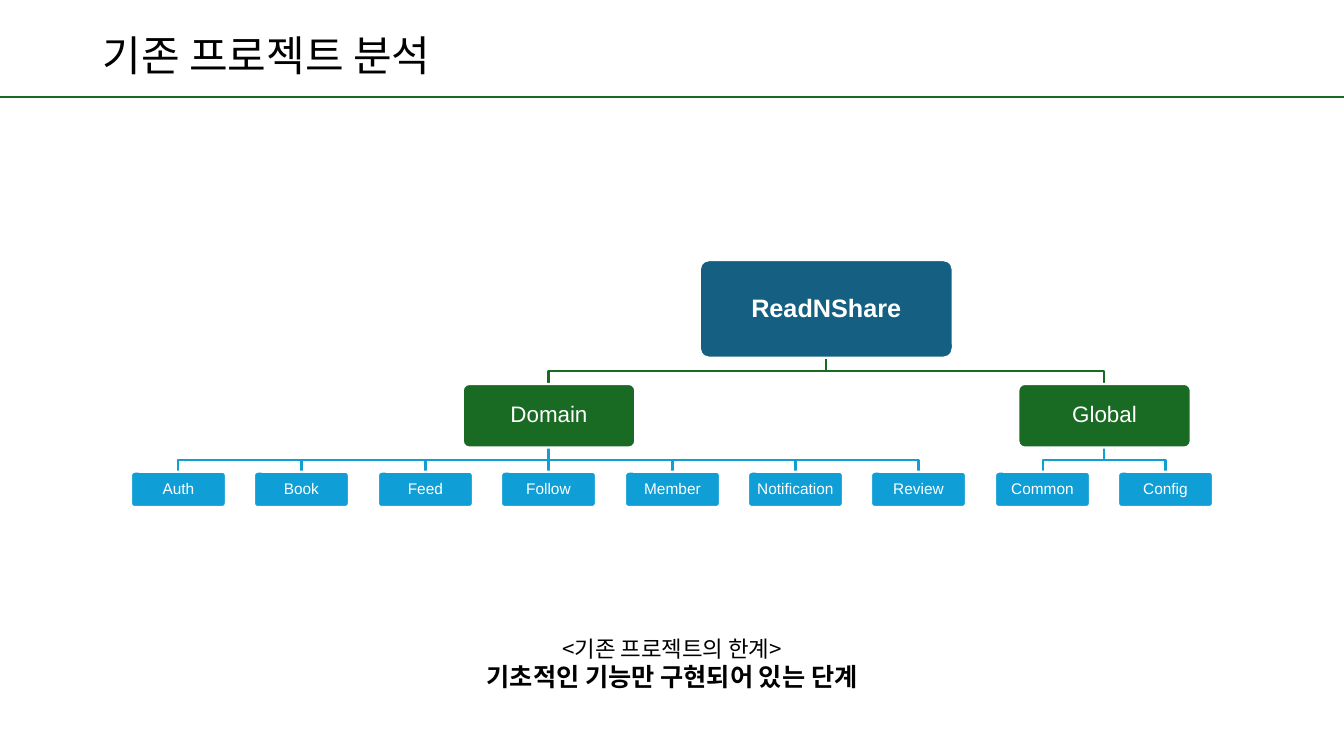
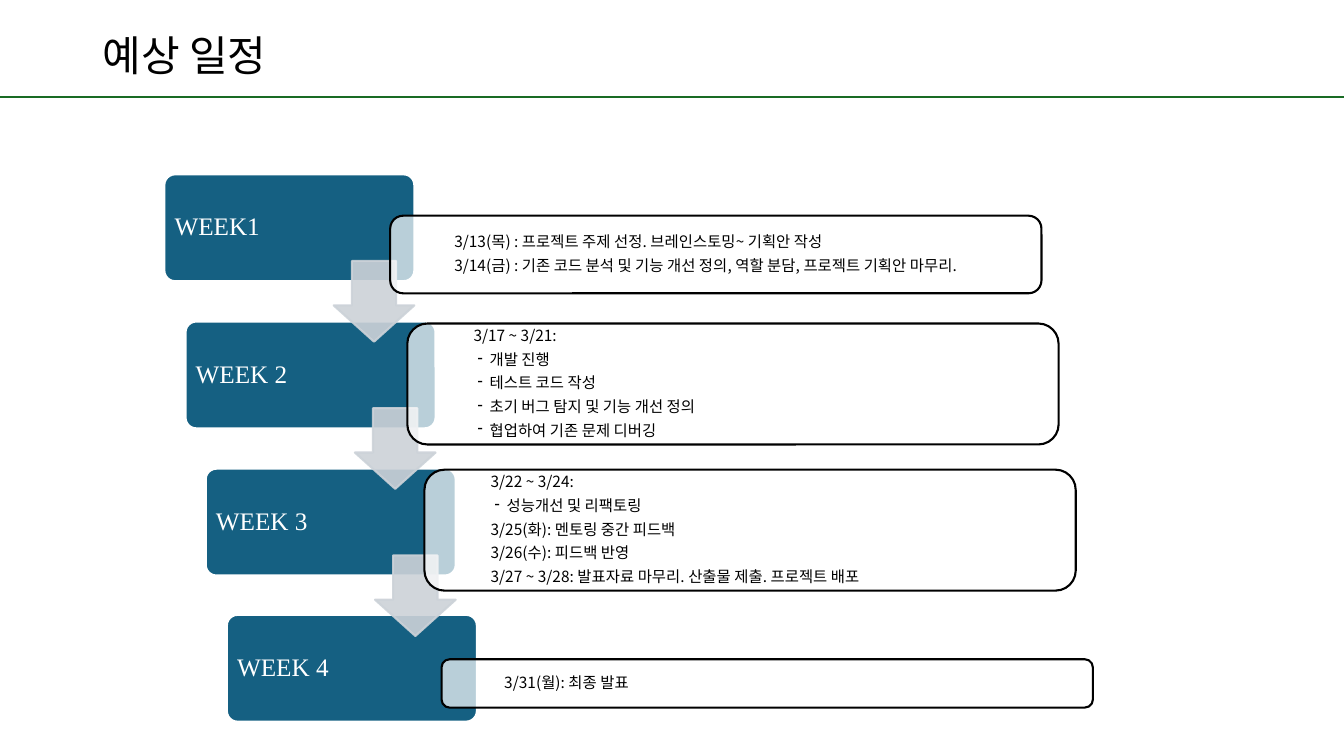
from lxml.etree import SubElement
from pptx import Presentation
from pptx.dml.color import RGBColor
from pptx.enum.shapes import MSO_CONNECTOR as Connector, MSO_SHAPE as Shape
from pptx.enum.text import MSO_ANCHOR as Anchor, PP_ALIGN as Align
from pptx.oxml.ns import qn
from pptx.util import Pt

PX = 9144  # EMU per px, 100 px to the inch
PAGE_WIDTH, PAGE_HEIGHT = 1333, 750

BLACK = RGBColor(0x00, 0x00, 0x00)
WHITE = RGBColor(0xFF, 0xFF, 0xFF)
NAVY = RGBColor(0x15, 0x60, 0x82)
GREEN = RGBColor(0x19, 0x6B, 0x24)
BLUE = RGBColor(0x0F, 0x9E, 0xD5)
GRAY = RGBColor(0xCC, 0xD2, 0xD8)

KOREAN = "Noto Sans CJK KR"
SANS = "Arial"
SERIF = "Times New Roman"
LINE_WIDTH = Pt(1.5)
BULLET = "- "

LEAF_TOP, LEAF_WIDTH, LEAF_HEIGHT = 468, 94, 35
LEAF_LEFT, LEAF_STEP = 130, 122.4
BRANCH_TOP, BRANCH_WIDTH, BRANCH_HEIGHT = 381, 171, 63
ROOT_TOP, ROOT_WIDTH, ROOT_HEIGHT = 258, 251, 97
BRANCHES = {
    "Domain": ["Auth", "Book", "Feed", "Follow", "Member", "Notification", "Review"],
    "Global": ["Common", "Config"],
}

# Week, top and height of its plan, lines of the plan
SCHEDULE = [
    ("WEEK1", 214, 77, [
        "3/13(목) : 프로젝트 주제 선정. 브레인스토밍~ 기획안 작성",
        "3/14(금) : 기존 코드 분석 및 기능 개선 정의, 역할 분담, 프로젝트 기획안 마무리.",
    ]),
    ("WEEK 2", 321, 120, [
        "3/17 ~ 3/21:",
        "- 개발 진행",
        "- 테스트 코드 작성",
        "- 초기 버그 탐지 및 기능 개선 정의",
        "- 협업하여 기존 문제 디버깅",
    ]),
    ("WEEK 3", 466, 120, [
        "3/22 ~ 3/24:",
        "- 성능개선 및 리팩토링",
        "3/25(화): 멘토링 중간 피드백",
        "3/26(수): 피드백 반영",
        "3/27 ~ 3/28: 발표자료 마무리. 산출물 제출. 프로젝트 배포",
    ]),
    ("WEEK 4", 654, 48, ["3/31(월): 최종 발표"]),
]


def fade(parent, percent):
    """Set the opacity of the solid fill directly below an XML element."""
    color = parent.find(qn("a:solidFill"))[0]
    SubElement(color, qn("a:alpha")).set("val", str(percent * 1000))


class Deck:
    def __init__(self):
        self.deck = Presentation()
        self.deck.slide_width = PAGE_WIDTH * PX
        self.deck.slide_height = PAGE_HEIGHT * PX
        self.shapes = None

    def page(self, title):
        """Start a slide with its title and the green rule below it."""
        self.shapes = self.deck.slides.add_slide(self.deck.slide_layouts[6]).shapes
        box = self.text(92, 19, 1150, 77, [(title, 30, False)])
        box.text_frame.vertical_anchor = Anchor.MIDDLE
        box.text_frame.paragraphs[0].line_spacing = 0.9
        self.line(0, 96, PAGE_WIDTH, 96, GREEN)

    def style(self, paragraph, size, font, color, bold=False):
        for span in paragraph.runs:
            span.font.size = Pt(size)
            span.font.name = font
            span.font.bold = bold
            span.font.color.rgb = color
            SubElement(span.font._element, qn("a:ea")).set("typeface", font)

    def text(self, left, top, width, height, lines, align=Align.LEFT):
        """Add a text box; each line is (wording, size, bold)."""
        box = self.shapes.add_textbox(left * PX, top * PX, width * PX, height * PX)
        frame = box.text_frame
        frame.word_wrap = True
        frame.text = "\n".join(line[0] for line in lines)
        for paragraph, (_, size, bold) in zip(frame.paragraphs, lines):
            paragraph.alignment = align
            self.style(paragraph, size, KOREAN, BLACK, bold)
        return box

    def line(self, x1, y1, x2, y2, color):
        line = self.shapes.add_connector(
            Connector.STRAIGHT, x1 * PX, y1 * PX, x2 * PX, y2 * PX)
        line.line.color.rgb = color
        line.line.width = LINE_WIDTH
        SubElement(line._element.spPr, qn("a:effectLst"))

    def branch_line(self, x1, y1, x2, y2, color):
        """Go down, across and down again; straight down if aligned."""
        if x1 == x2:
            self.line(x1, y1, x2, y2, color)
            return
        middle = (y1 + y2) // 2
        builder = self.shapes.build_freeform(x1, y1, scale=PX)
        builder.add_line_segments([(x1, middle), (x2, middle), (x2, y2)], close=False)
        path = builder.convert_to_shape()
        path.shadow.inherit = False
        path.fill.background()
        path.line.color.rgb = color
        path.line.width = LINE_WIDTH

    def shape(self, kind, left, top, width, height, fill, outline):
        shape = self.shapes.add_shape(kind, left * PX, top * PX, width * PX, height * PX)
        shape.shadow.inherit = False
        shape.fill.solid()
        shape.fill.fore_color.rgb = fill
        shape.line.color.rgb = outline
        shape.line.width = LINE_WIDTH
        return shape

    def block(self, left, top, width, height, fill, label, size,
              font=SANS, align=Align.CENTER, bold=False, inset=7):
        """Add a filled rounded box with a white label."""
        block = self.shape(Shape.ROUNDED_RECTANGLE, left, top, width, height, fill, WHITE)
        block.adjustments[0] = 0.1
        frame = block.text_frame
        frame.margin_left = frame.margin_right = inset * PX
        frame.margin_top = frame.margin_bottom = inset * PX
        frame.word_wrap = True
        frame.vertical_anchor = Anchor.MIDDLE
        frame.text = label
        paragraph = frame.paragraphs[0]
        paragraph.alignment = align
        paragraph.line_spacing = 0.9
        self.style(paragraph, size, font, WHITE, bold)

    def arrow(self, left, top):
        arrow = self.shape(Shape.DOWN_ARROW, left, top, 80, 80, GRAY, GRAY)
        arrow.adjustments[0] = 0.55
        arrow.adjustments[1] = 0.45
        properties = arrow._element.spPr
        fade(properties, 90)
        fade(properties.find(qn("a:ln")), 90)

    def plan(self, left, top, width, height, lines):
        """Add a translucent outlined box of dated lines and dashed items."""
        plan = self.shape(Shape.ROUNDED_RECTANGLE, left, top, width, height, WHITE, BLACK)
        fade(plan._element.spPr, 70)
        frame = plan.text_frame
        frame.word_wrap = True
        frame.vertical_anchor = Anchor.MIDDLE
        frame.text = "\n".join(line.removeprefix(BULLET) for line in lines)
        for index, (paragraph, line) in enumerate(zip(frame.paragraphs, lines)):
            properties = paragraph._p.get_or_add_pPr()
            properties.set("marL", str(50 * PX))
            if line.startswith(BULLET):
                properties.set("marL", str(66 * PX))
                properties.set("indent", str(-12 * PX))
                SubElement(properties, qn("a:buChar")).set("char", "-")
            paragraph.alignment = Align.LEFT
            paragraph.line_spacing = 0.9
            if index:
                paragraph.space_before = Pt(5)
            self.style(paragraph, 11, KOREAN, BLACK)


def analysis_page(deck):
    deck.page("기존 프로젝트 분석")
    branch_centers = []
    column = 0
    for branch, leaves in BRANCHES.items():
        lefts = [LEAF_LEFT + round((column + i) * LEAF_STEP) for i in range(len(leaves))]
        column += len(leaves)
        center = (lefts[0] + lefts[-1] + LEAF_WIDTH) // 2
        branch_centers.append(center)
        for left, leaf in zip(lefts, leaves):
            deck.branch_line(center, BRANCH_TOP + BRANCH_HEIGHT,
                             left + LEAF_WIDTH // 2, LEAF_TOP, BLUE)
            deck.block(left, LEAF_TOP, LEAF_WIDTH, LEAF_HEIGHT, BLUE, leaf, 11, inset=5)
    root_center = sum(branch_centers) // 2
    for center, branch in zip(branch_centers, BRANCHES):
        deck.branch_line(root_center, ROOT_TOP + ROOT_HEIGHT, center, BRANCH_TOP, GREEN)
        deck.block(center - BRANCH_WIDTH // 2, BRANCH_TOP, BRANCH_WIDTH, BRANCH_HEIGHT,
                   GREEN, branch, 16)
    deck.block(root_center - ROOT_WIDTH // 2, ROOT_TOP, ROOT_WIDTH, ROOT_HEIGHT,
               NAVY, "ReadNShare", 18, bold=True)
    deck.text(264, 625, 805, 67, [
        ("<기존 프로젝트의 한계>", 16, False),
        ("기초적인 기능만 구현되어 있는 단계", 18, True),
    ], Align.CENTER)


def schedule_page(deck):
    deck.page("예상 일정")
    corners = [(163 + round(i * 20.6), 173 + round(i * 145.8)) for i in range(len(SCHEDULE))]
    for (left, top), (week, *_) in zip(corners, SCHEDULE):
        deck.block(left, top, 248, 106, NAVY, week, 18, SERIF, Align.LEFT)
    for left, top in corners[:-1]:
        deck.arrow(left + 168, top + 86)
    for i, (_, top, height, lines) in enumerate(SCHEDULE):
        deck.plan(387 + i * 17, top, 646, height, lines)


def main():
    deck = Deck()
    analysis_page(deck)
    schedule_page(deck)
    deck.deck.save("out.pptx")


if __name__ == "__main__":
    main()
